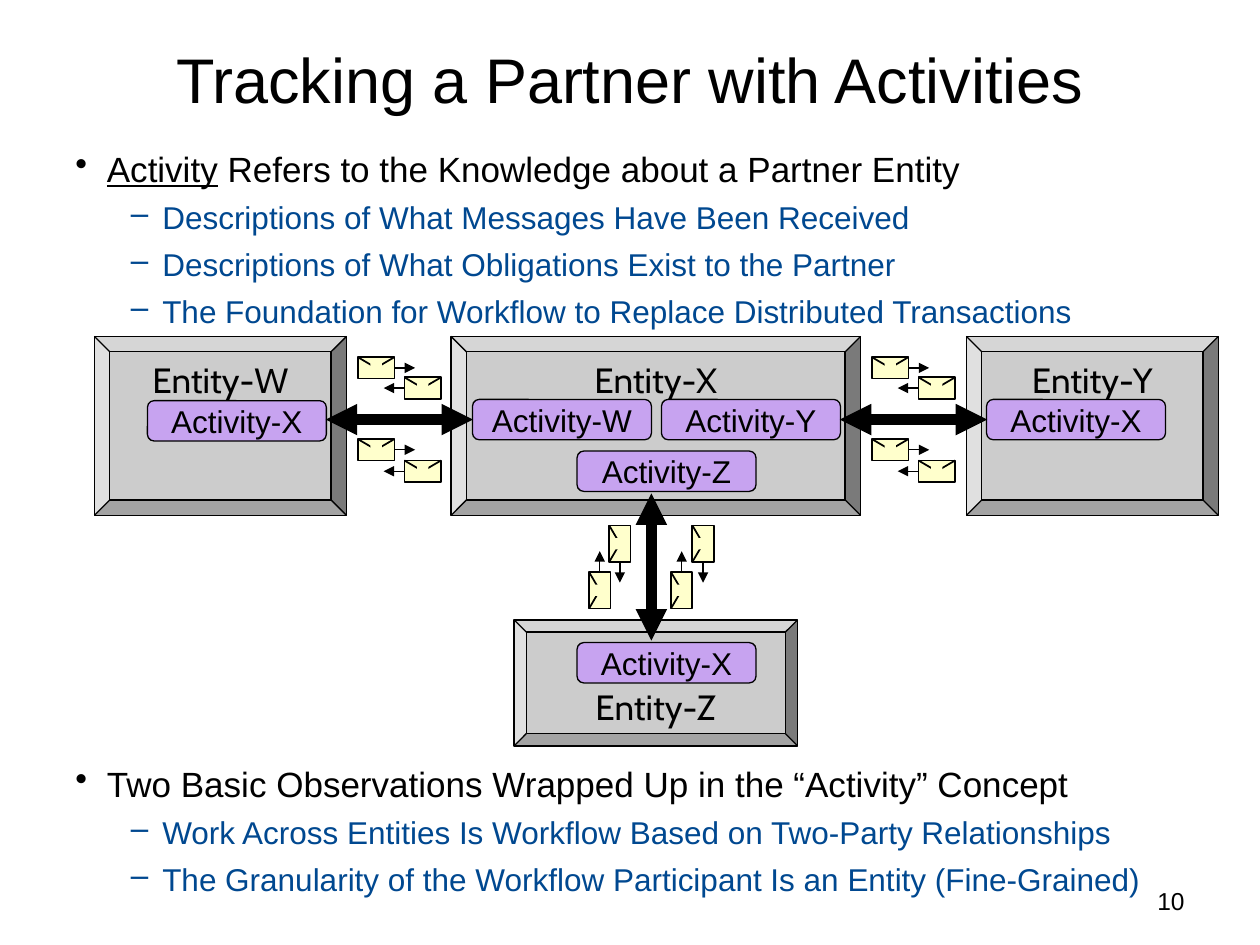
from pptx import Presentation
from pptx.dml.color import RGBColor
from pptx.enum.shapes import MSO_CONNECTOR as Link, MSO_SHAPE as Preset
from pptx.enum.text import MSO_ANCHOR as Anchor, PP_ALIGN as Align
from pptx.oxml.ns import qn
from pptx.util import Inches, Pt
from lxml.etree import SubElement

COLORS = {
    "ink": "000000",
    "detail": "004890",
    "entity": "CCCCCC",
    "activity": "C7A3F0",
    "envelope": "FFFFCC",
}
LEVELS = [
    {"bullet": "•", "margin": 0.25, "size": 20, "color": "ink", "before": 5.8},
    {"bullet": "–", "margin": 0.69, "size": 18, "color": "detail", "before": 5.2},
]
RIGHT, UP, LEFT = (1, 0), (0, -1), (-1, 0)


def apply(target, values):
    for name, value in values.items():
        setattr(target, name, value)


def rgb(name):
    return RGBColor.from_string(COLORS[name])


def shift(point, *moves):
    """Move a point by (vector, distance) pairs."""
    x, y = point
    for (dx, dy), distance in moves:
        x, y = x + dx * distance, y + dy * distance
    return x, y


class SlideBuilder:
    font = "Arial"
    entity_font = "Cabin"

    def __init__(self, slide):
        self.slide = slide
        self.shapes = slide.shapes

    def style_run(self, run, size, color="ink", font=None, underline=None):
        apply(run.font, {"name": font or self.font, "size": Pt(size),
                         "underline": underline})
        run.font.color.rgb = rgb(color)

    def label(self, shape, text, size, font=None, align=Align.CENTER,
              anchor=Anchor.MIDDLE, wrap=False):
        frame = shape.text_frame
        apply(frame, {"word_wrap": wrap, "vertical_anchor": anchor})
        paragraph = frame.paragraphs[0]
        paragraph.alignment = align
        run = paragraph.add_run()
        run.text = text
        self.style_run(run, size, font=font)

    def title(self, text, left, top, width, height):
        title = self.shapes.title
        apply(title, {"left": Inches(left), "top": Inches(top),
                      "width": Inches(width), "height": Inches(height)})
        self.label(title, text, 36, wrap=True)

    def text_box(self, left, top, width, height):
        return self.shapes.add_textbox(Inches(left), Inches(top),
                                       Inches(width), Inches(height))

    def bullets(self, items, left, top, width, height):
        """Items are (level, space before or None, [(text, underline), ...])."""
        frame = self.text_box(left, top, width, height).text_frame
        frame.word_wrap = True
        for index, (level, before, parts) in enumerate(items):
            style = LEVELS[level]
            paragraph = frame.add_paragraph() if index else frame.paragraphs[0]
            paragraph.level = level
            properties = paragraph._p.get_or_add_pPr()
            properties.set("marL", str(Inches(style["margin"])))
            properties.set("indent", str(Inches(-0.25)))
            bullet_color = SubElement(properties, qn("a:buClr"))
            SubElement(bullet_color, qn("a:srgbClr"), val=COLORS[style["color"]])
            SubElement(properties, qn("a:buChar"), char=style["bullet"])
            if index:
                paragraph.space_before = Pt(before or style["before"])
            for text, underline in parts:
                run = paragraph.add_run()
                run.text = text
                self.style_run(run, style["size"], style["color"], underline=underline)

    def box(self, preset, left, top, width, height, fill, line=0.75, adjust=None):
        shape = self.shapes.add_shape(preset, Inches(left), Inches(top),
                                      Inches(width), Inches(height))
        shape.shadow.inherit = False
        shape.fill.solid()
        shape.fill.fore_color.rgb = rgb(fill)
        if line:
            shape.line.color.rgb = rgb("ink")
            shape.line.width = Pt(line)
        else:
            shape.line.fill.background()
        if adjust is not None:
            shape.adjustments[0] = adjust
        return shape

    def entity(self, name, left, top, width, height, adjust=0.086, anchor=Anchor.TOP):
        bevel = self.box(Preset.BEVEL, left, top, width, height, "entity", adjust=adjust)
        self.label(bevel, name, 20, self.entity_font, anchor=anchor)

    def activity(self, name, left, top):
        tag = self.box(Preset.ROUNDED_RECTANGLE, left, top, 1.42, 0.32,
                       "activity", adjust=0.167)
        self.label(tag, name, 18)

    def line(self, start, end, width, arrows=()):
        ends = [Inches(value) for value in (*start, *end)]
        connector = self.shapes.add_connector(Link.STRAIGHT, *ends)
        connector.line.color.rgb = rgb("ink")
        connector.line.width = Pt(width)
        outline = connector.line._get_or_add_ln()
        for arrow in arrows:
            SubElement(outline, qn(f"a:{arrow}"), type="triangle")
        SubElement(connector._element.spPr, qn("a:effectLst"))

    def centered_box(self, center, along, across, heading, line):
        width, height = (along, across) if heading[0] else (across, along)
        self.box(Preset.RECTANGLE, center[0] - width / 2, center[1] - height / 2,
                 width, height, "envelope", line)

    def message(self, center, heading, flap):
        """An envelope with its flap on one side and an arrow along its heading."""
        self.line(shift(center, (heading, -0.02)), shift(center, (heading, 0.31)),
                  0.75, ["tailEnd"])
        self.centered_box(center, 0.29, 0.17, heading, 1)
        for side in (-0.145, 0.145):
            self.line(shift(center, (heading, side), (flap, 0.085)), center, 1)
        self.centered_box(center, 0.09, 0.08, heading, None)

    def exchange(self, center, heading, flap):
        """Two message pairs beside a heavy two-way arrow."""
        back = (-heading[0], -heading[1])
        for offset, course in ((0.41, heading), (0.25, back),
                               (-0.24, heading), (-0.41, back)):
            spot = shift(center, (course, -0.185), (flap, offset))
            self.message(spot, course, flap)
        self.line(shift(center, (heading, -0.585)), shift(center, (heading, 0.585)),
                  6, ["headEnd", "tailEnd"])


def main():
    deck = Presentation()
    apply(deck, {"slide_width": Inches(10), "slide_height": Inches(7.5)})
    page = SlideBuilder(deck.slides.add_slide(deck.slide_layouts[5]))

    # Title and statements; the wide gap leaves room for the diagram
    page.title("Tracking a Partner with Activities", 0.5, 0, 9, 1.25)
    page.bullets([
        (0, None, [("Activity", True),
                   (" Refers to the Knowledge about a Partner Entity", None)]),
        (1, None, [("Descriptions of What Messages Have Been Received", None)]),
        (1, None, [("Descriptions of What Obligations Exist to the Partner", None)]),
        (1, None, [("The Foundation for Workflow to Replace Distributed Transactions", None)]),
        (0, 247, [("Two Basic Observations Wrapped Up in the “Activity” Concept", None)]),
        (1, None, [("Work Across Entities Is Workflow Based on Two-Party Relationships", None)]),
        (1, None, [("The Granularity of the Workflow Participant Is an Entity (Fine-Grained)",
                    None)]),
    ], 0.5, 1.12, 9, 6.04)

    # Entities
    for name, left, width in (("Entity-W", 0.75, 2), ("Entity-X", 3.58, 3.25),
                              ("Entity-Y", 7.67, 2)):
        page.entity(name, left, 2.67, width, 1.42)
    page.entity("Entity-Z", 4.08, 4.92, 2.25, 1, 0.097, Anchor.BOTTOM)

    # Activities held by each entity
    for name, left, top in (("Activity-X", 1.17, 3.18), ("Activity-W", 3.75, 3.17),
                            ("Activity-Y", 5.25, 3.17), ("Activity-X", 7.83, 3.17),
                            ("Activity-Z", 4.58, 3.58), ("Activity-X", 4.58, 5.1)):
        page.activity(name, left, top)

    # Message exchanges between partners
    for center, heading, flap in (((3.17, 3.33), RIGHT, UP), ((7.25, 3.33), RIGHT, UP),
                                  ((5.17, 4.5), UP, LEFT)):
        page.exchange(center, heading, flap)

    # Page number
    page.label(page.text_box(7.17, 6.98, 2.33, 0.52), "10", 14,
               align=Align.RIGHT, anchor=Anchor.TOP, wrap=True)

    deck.save("out.pptx")


if __name__ == "__main__":
    main()
